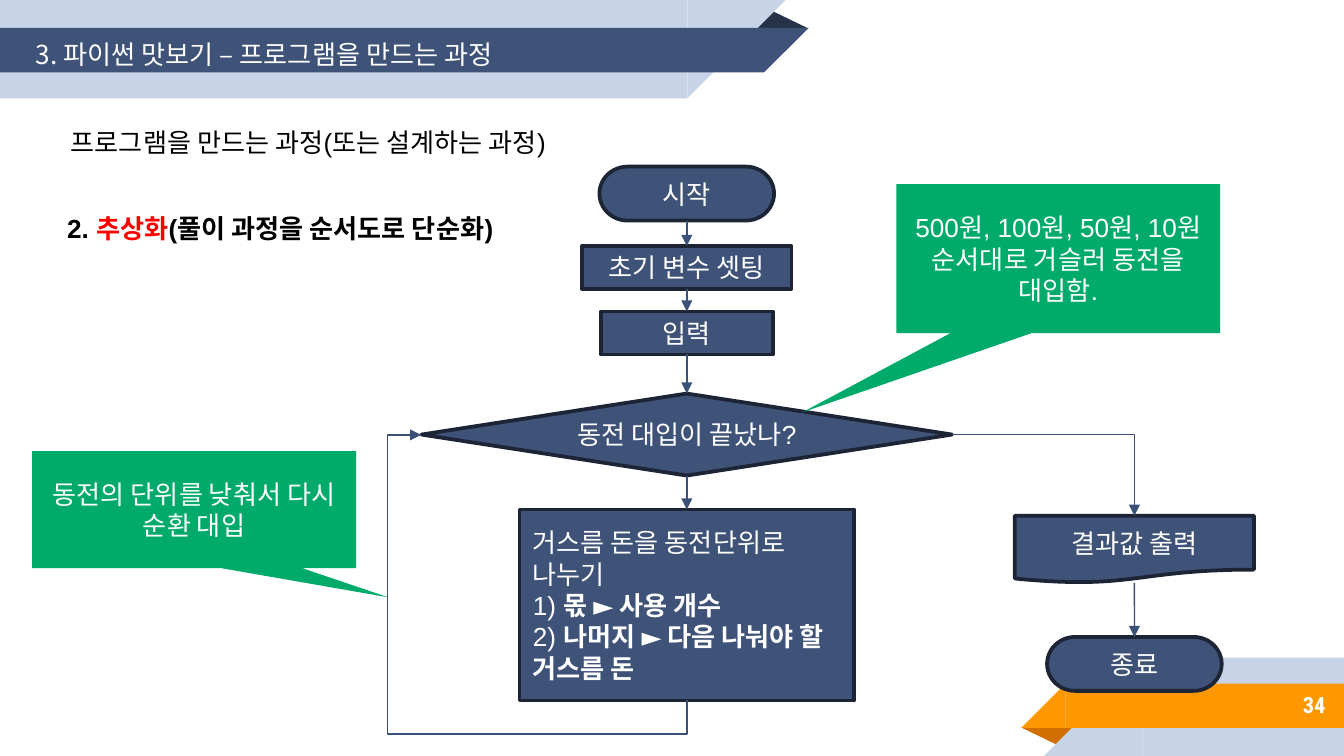
from lxml.etree import SubElement
from pptx import Presentation
from pptx.dml.color import RGBColor
from pptx.enum.shapes import MSO_CONNECTOR as CONN, MSO_SHAPE as SHAPE
from pptx.enum.text import MSO_ANCHOR as ANCHOR, PP_ALIGN as ALIGN
from pptx.oxml.ns import qn
from pptx.util import Cm, Pt

NAVY, EDGE, WIRE, PALE = "3F5378", "1C2435", "3C5177", "C7D3E6"
GREEN, ORANGE, WHITE, BLACK, RED = "00AA6B", "FF9800", "FFFFFF", "000000", "FF0000"


def color(value):
    return RGBColor.from_string(value)


def shape(s, kind, box, fill, line=None, rotation=0):
    sp = s.shapes.add_shape(kind, *map(Cm, box))
    sp.shadow.inherit = False
    sp.rotation = rotation
    sp.fill.solid()
    sp.fill.fore_color.rgb = color(fill)
    if line:
        sp.line.color.rgb = color(line)
        sp.line.width = Pt(2)
    else:
        sp.line.fill.background()
    return sp


def write(sp, runs, ink=WHITE, align=ALIGN.CENTER, font="Arial", size=14, bold=False):
    """Fill one paragraph; runs are (text, own colour, own bold), None is a line break."""
    tf = sp.text_frame
    tf.word_wrap = True
    p = tf.paragraphs[0]
    p.alignment = align
    p.font.name, p.font.size, p.font.bold = font, Pt(size), bold
    p.font.color.rgb = color(ink)
    for run in runs:
        if run is None:
            p.add_line_break()
            continue
        text, own_ink, own_bold = run
        r = p.add_run()
        r.text = text
        r.font.name, r.font.size = font, Pt(size)
        r.font.color.rgb = color(own_ink or ink)
        r.font.bold = bold if own_bold is None else own_bold
    return tf


def plain(text):
    return [(text, None, None)]


def textbox(s, box, runs, inset=None, **style):
    sp = s.shapes.add_textbox(*map(Cm, box))
    tf = write(sp, runs, **style)
    if inset is not None:
        tf.vertical_anchor = ANCHOR.MIDDLE
        tf.margin_left = tf.margin_right = tf.margin_top = tf.margin_bottom = Cm(inset)


def ribbon(s, box, band, fold, turned=False):
    """Folded ribbon pointing right; turned makes it point left, upside down."""
    left, top, width, height = box
    band_h, fold_w, fold_h = 0.84, 1.09, 0.36
    pale_end, band_end = width - 0.43 - height, width - band_h
    parts = [
        (SHAPE.ISOSCELES_TRIANGLE, (width - fold_w, 0.18, fold_w, fold_h), fold, 0),
        (SHAPE.RECTANGLE, (0, 0, pale_end, height), PALE, 0),
        (SHAPE.RIGHT_TRIANGLE, (pale_end, 0, height, height), PALE, 90),
        (SHAPE.RECTANGLE, (0, 0.53, band_end, band_h), band, 0),
        (SHAPE.RIGHT_TRIANGLE, (band_end, 0.53, band_h, band_h), band, 90),
    ]
    for kind, (x, y, w, h), fill, angle in parts:
        if turned:
            x, y, angle = width - x - w, height - y - h, angle + 180
        sp = shape(s, kind, (left + x, top + y, w, h), fill, rotation=angle)
        if kind == SHAPE.ISOSCELES_TRIANGLE:
            sp.adjustments[0] = 0.32


def arrow(s, start, start_site, end, end_site, kind=CONN.STRAIGHT):
    c = s.shapes.add_connector(kind, 0, 0, 0, 0)
    c.begin_connect(start, start_site)
    c.end_connect(end, end_site)
    c.line.color.rgb = color(WIRE)
    c.line.width = Pt(0.75)
    SubElement(c.line._get_or_add_ln(), qn("a:tailEnd"), type="triangle")
    SubElement(c._element.spPr, qn("a:effectLst"))
    return c


def bend(c, preset, adjustments=()):
    geom = c._element.spPr.find(qn("a:prstGeom"))
    geom.set("prst", preset)
    guides = geom.find(qn("a:avLst"))
    for i, value in enumerate(adjustments, 1):
        SubElement(guides, qn("a:gd"), name=f"adj{i}", fmla=f"val {value}")


def flowchart(s, box):
    left, top, width, _ = box
    main, side = 5.03, width - 2.26  # the two vertical axes

    def node(kind, axis, y, w, h, runs, align=ALIGN.CENTER):
        sp = shape(s, kind, (left + axis - w / 2, top + y, w, h), NAVY, EDGE)
        write(sp, runs, align=align)
        return sp

    # Steps
    process = SHAPE.FLOWCHART_PROCESS
    start = node(SHAPE.FLOWCHART_TERMINATOR, main, 0, 3.3, 1.02, plain("시작"))
    setup = node(process, main, 1.5, 3.96, 0.81, plain("초기 변수 셋팅"))
    entry = node(process, main, 2.74, 3.25, 0.81, plain("입력"))
    check = node(SHAPE.FLOWCHART_DECISION, main, 4.29, 10.03, 1.55,
                 plain("동전 대입이 끝났나?"))
    divide = node(process, main, 6.48, 6.32, 3.61, [
        ("거스름 돈을 동전단위로 나누기", None, False), None,
        ("1) ", None, False), ("몫 ► 사용 개수", None, True), None,
        ("2) ", None, False), ("나머지 ► 다음 나눠야 할 거스름 돈", None, True),
    ], ALIGN.LEFT)
    result = node(SHAPE.FLOWCHART_DOCUMENT, side, 6.6, 4.52, 1.27, plain("결과값 출력"))
    finish = node(SHAPE.FLOWCHART_TERMINATOR, side, 8.89, 3.3, 1.02, plain("종료"))

    # Arrows; sites are 0 top, 1 left, 2 bottom, 3 right
    for a, b in [(start, setup), (setup, entry), (entry, check),
                 (check, divide), (result, finish)]:
        arrow(s, a, 2, b, 0)
    bend(arrow(s, check, 3, result, 0, CONN.ELBOW), "bentConnector2")

    # Loop back to the decision
    loop = arrow(s, divide, 2, check, 1, CONN.ELBOW)
    bend(loop, "bentConnector4", (-12700, 112700))
    xfrm = loop._element.spPr.find(qn("a:xfrm"))
    xfrm.set("rot", "5400000")
    xfrm.set("flipH", "1")
    xfrm.set("flipV", "0")


def callout(s, box, tip, text):
    sp = shape(s, SHAPE.RECTANGULAR_CALLOUT, box, GREEN)
    sp.adjustments[0], sp.adjustments[1] = tip
    write(sp, plain(text))


def main():
    prs = Presentation()
    prs.slide_width, prs.slide_height = Cm(25.4), Cm(14.29)
    s = prs.slides.add_slide(prs.slide_layouts[6])

    # Ribbons with title and page number
    ribbon(s, (0, 0, 15.28, 1.86), NAVY, "263248")
    ribbon(s, (19.3, 12.43, 6.1, 1.86), ORANGE, "D26F00", turned=True)
    textbox(s, (0.43, 0.46, 12.27, 1.12), plain("3. 파이썬 맛보기 – 프로그램을 만드는 과정"),
            inset=0.25, align=ALIGN.LEFT, font="Noto Sans CJK KR")
    textbox(s, (21.16, 12.88, 4.14, 0.89), plain("34"), inset=0.25,
            align=ALIGN.RIGHT, font="Roboto Condensed", size=12, bold=True)

    # Headings
    textbox(s, (1.09, 2.26, 12.93, 0.86), plain("프로그램을 만드는 과정(또는 설계하는 과정)"),
            ink=BLACK, align=ALIGN.LEFT)
    textbox(s, (1.02, 3.89, 10.08, 0.86),
            [("2. ", None, None), ("추상화", RED, None),
             ("(풀이 과정을 순서도로 단순화)", None, None)],
            ink=BLACK, align=ALIGN.LEFT, bold=True)

    # Flowchart and its callouts
    flowchart(s, (7.95, 3.15, 15.75, 10.72))
    callout(s, (16.94, 3.48, 6.12, 2.82), (-0.79, 1.03),
            "500원, 100원, 50원, 10원 순서대로 거슬러 동전을 대입함.")
    callout(s, (0.61, 8.53, 6.12, 2.21), (0.6, 0.75), "동전의 단위를 낮춰서 다시 순환 대입")

    prs.save("out.pptx")


if __name__ == "__main__":
    main()
